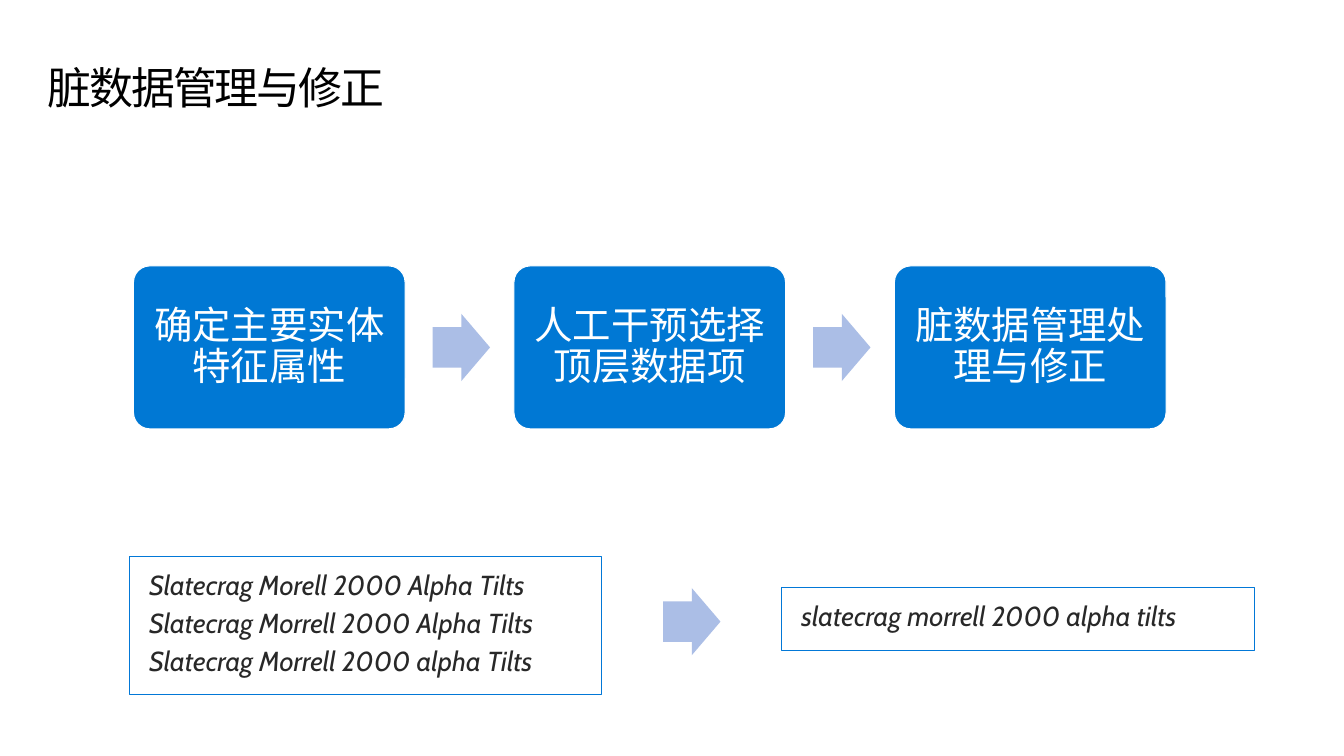
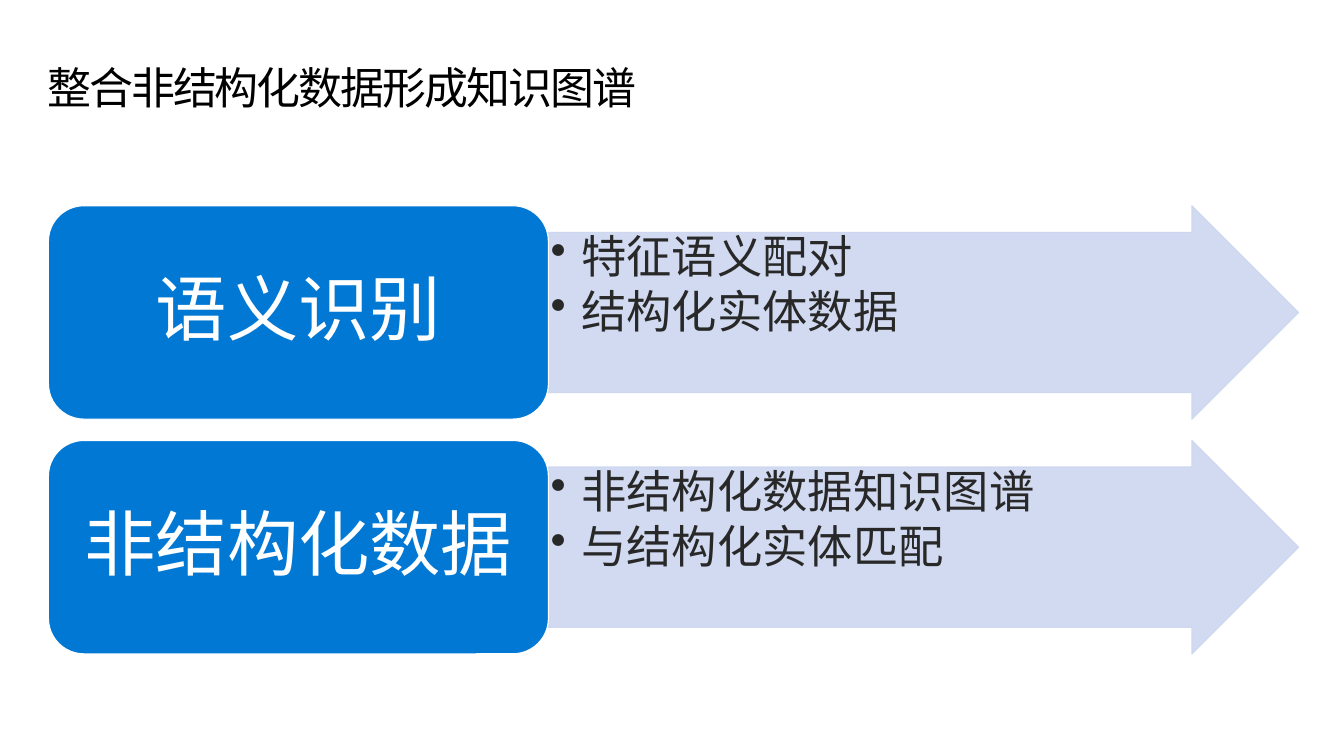
"""Build two slides on cleaning dirty data and forming a knowledge graph."""
from dataclasses import dataclass
from typing import Optional

from lxml.etree import SubElement
from pptx import Presentation
from pptx.dml.color import RGBColor
from pptx.enum.shapes import MSO_SHAPE as Preset
from pptx.enum.text import MSO_ANCHOR as Anchor, MSO_AUTO_SIZE as AutoSize, PP_ALIGN as Align
from pptx.oxml.ns import qn
from pptx.util import Pt

COLORS = {
    "title": "000000",
    "body": "282828",
    "white": "FFFFFF",
    "step": "0078D4",
    "frame": "0278D7",
    "flow": "ABBEE6",
    "band": "CCD6EF",
}
FONT = "Cabin"
LINE_SPACING = 0.9


@dataclass(frozen=True)
class Box:
    left: float
    top: float
    width: float
    height: float


@dataclass(frozen=True)
class TextStyle:
    size: float
    color: str
    insets: tuple[float, float, float, float] = (0, 0, 0, 0)
    align: Align = Align.LEFT
    anchor: Anchor = Anchor.TOP
    space_after: float = 0
    italic: bool = False
    bullet_indent: float = 0
    tracking: float = 0


@dataclass(frozen=True)
class ShapeStyle:
    preset: Preset
    fill: Optional[str] = None
    line: Optional[str] = None
    line_width: float = 0.85
    adjustments: tuple[float, ...] = ()
    opacity: int = 100
    grow: bool = False


@dataclass(frozen=True)
class Topic:
    name: str
    points: tuple[str, ...]


TITLE_BOX = Box(34.5, 35.3, 911, 59.8)
TITLE_TEXT = TextStyle(32, "title", (0, 13, 0, 0), tracking=-1.5)

STEP = ShapeStyle(Preset.ROUNDED_RECTANGLE, "step", "white", adjustments=(0.1,))
STEP_TEXT = TextStyle(28, "white", (8.4,) * 4, Align.CENTER, Anchor.MIDDLE)
FLOW = ShapeStyle(Preset.RIGHT_ARROW, "flow", adjustments=(0.6, 0.5))
FRAME = ShapeStyle(Preset.RECTANGLE, line="frame", line_width=0.75, grow=True)
FRAME_TEXT = TextStyle(20, "body", (14.4, 11.5, 14.4, 11.5), space_after=6, italic=True)

TOPIC = ShapeStyle(Preset.ROUNDED_RECTANGLE, "step", "white")
TOPIC_TEXT = TextStyle(52, "white", (15.6, 7.8, 15.6, 7.8), Align.CENTER, Anchor.MIDDLE)
BAND = ShapeStyle(Preset.RIGHT_ARROW, "band", "band", adjustments=(0.75, 0.5), opacity=90)
BAND_TEXT = TextStyle(33, "body", (1.5, 1.5, 40, 1.5), space_after=4.5, bullet_indent=22.5)

STEPS = ("确定主要实体特征属性", "人工干预选择顶层数据项", "脏数据管理处理与修正")
RAW_NAMES = (
    "Slatecrag Morell 2000 Alpha Tilts",
    "Slatecrag Morrell 2000 Alpha Tilts",
    "Slatecrag Morrell 2000 alpha Tilts",
)
CLEAN_NAME = "slatecrag morrell 2000 alpha tilts"
TOPICS = (
    Topic("语义识别", ("特征语义配对", "结构化实体数据")),
    Topic("非结构化数据", ("非结构化数据知识图谱", "与结构化实体匹配")),
)


def rgb(name: str) -> RGBColor:
    return RGBColor.from_string(COLORS[name])


def points(box: Box) -> tuple[Pt, ...]:
    return tuple(Pt(length) for length in (box.left, box.top, box.width, box.height))


def write(frame, lines: tuple[str, ...], style: TextStyle) -> None:
    frame.text = "\n".join(lines)
    frame.word_wrap = True
    frame.vertical_anchor = style.anchor
    frame.margin_left, frame.margin_top, frame.margin_right, frame.margin_bottom = map(Pt, style.insets)
    for paragraph in frame.paragraphs:
        paragraph.alignment = style.align
        paragraph.line_spacing = LINE_SPACING
        paragraph.space_after = Pt(style.space_after)
        if style.bullet_indent:
            properties = paragraph._p.get_or_add_pPr()
            properties.set("marL", str(Pt(style.bullet_indent)))
            properties.set("indent", str(-Pt(style.bullet_indent)))
            SubElement(properties, qn("a:buChar"), char="•")
        for run in paragraph.runs:
            run.font.size = Pt(style.size)
            run.font.name = FONT
            run.font.italic = style.italic
            run.font.color.rgb = rgb(style.color)
            run_properties = run._r.get_or_add_rPr()
            SubElement(run_properties, qn("a:ea"), typeface=FONT)
            if style.tracking:
                run_properties.set("spc", str(int(style.tracking * 100)))


def draw(slide, box: Box, style: ShapeStyle, lines: tuple[str, ...] = (),
         text_style: Optional[TextStyle] = None) -> None:
    shape = slide.shapes.add_shape(style.preset, *points(box))
    shape.shadow.inherit = False
    for index, value in enumerate(style.adjustments):
        shape.adjustments[index] = value
    if style.fill:
        shape.fill.solid()
        shape.fill.fore_color.rgb = rgb(style.fill)
    else:
        shape.fill.background()
    if style.line:
        shape.line.color.rgb = rgb(style.line)
        shape.line.width = Pt(style.line_width)
    else:
        shape.line.fill.background()
    if style.opacity < 100:
        for color in shape._element.spPr.iter(qn("a:srgbClr")):
            SubElement(color, qn("a:alpha"), val=str(style.opacity * 1000))
    if text_style:
        write(shape.text_frame, lines, text_style)
    if style.grow:
        shape.text_frame.auto_size = AutoSize.SHAPE_TO_FIT_TEXT


def add_titled_slide(deck, title: str):
    slide = deck.slides.add_slide(deck.slide_layouts[6])
    write(slide.shapes.add_textbox(*points(TITLE_BOX)).text_frame, (title,), TITLE_TEXT)
    return slide


def build_cleaning(deck) -> None:
    slide = add_titled_slide(deck, "脏数据管理与修正")
    left, top, width, height, pitch = 97.2, 193.7, 198, 118.8, 277.2
    flow_width, flow_height, flow_gap = 41.8, 49, 20
    for index, step in enumerate(STEPS):
        step_left = left + index * pitch
        draw(slide, Box(step_left, top, width, height), STEP, (step,), STEP_TEXT)
        if index < len(STEPS) - 1:
            flow_top = top + (height - flow_height) / 2
            draw(slide, Box(step_left + width + flow_gap, flow_top, flow_width, flow_height), FLOW)

    draw(slide, Box(94.3, 405.4, 344.2, 100.8), FRAME, RAW_NAMES, FRAME_TEXT)
    draw(slide, Box(483.1, 428.4, flow_width, flow_height), FLOW)
    draw(slide, Box(569.5, 428.4, 344.2, 45.4), FRAME, (CLEAN_NAME,), FRAME_TEXT)


def build_graph(deck) -> None:
    slide = add_titled_slide(deck, "整合非结构化数据形成知识图谱")
    left, top, height, pitch = 35.3, 149.9, 155.5, 171
    topic_width, band_width = 364.3, 546.5
    for index, topic in enumerate(TOPICS):
        row_top = top + index * pitch
        draw(slide, Box(left + topic_width, row_top, band_width, height), BAND, topic.points, BAND_TEXT)
        draw(slide, Box(left, row_top, topic_width, height), TOPIC, (topic.name,), TOPIC_TEXT)


def main() -> None:
    deck = Presentation()
    deck.slide_width, deck.slide_height = Pt(979.2), Pt(550.8)
    build_cleaning(deck)
    build_graph(deck)
    deck.save("out.pptx")


if __name__ == "__main__":
    main()
